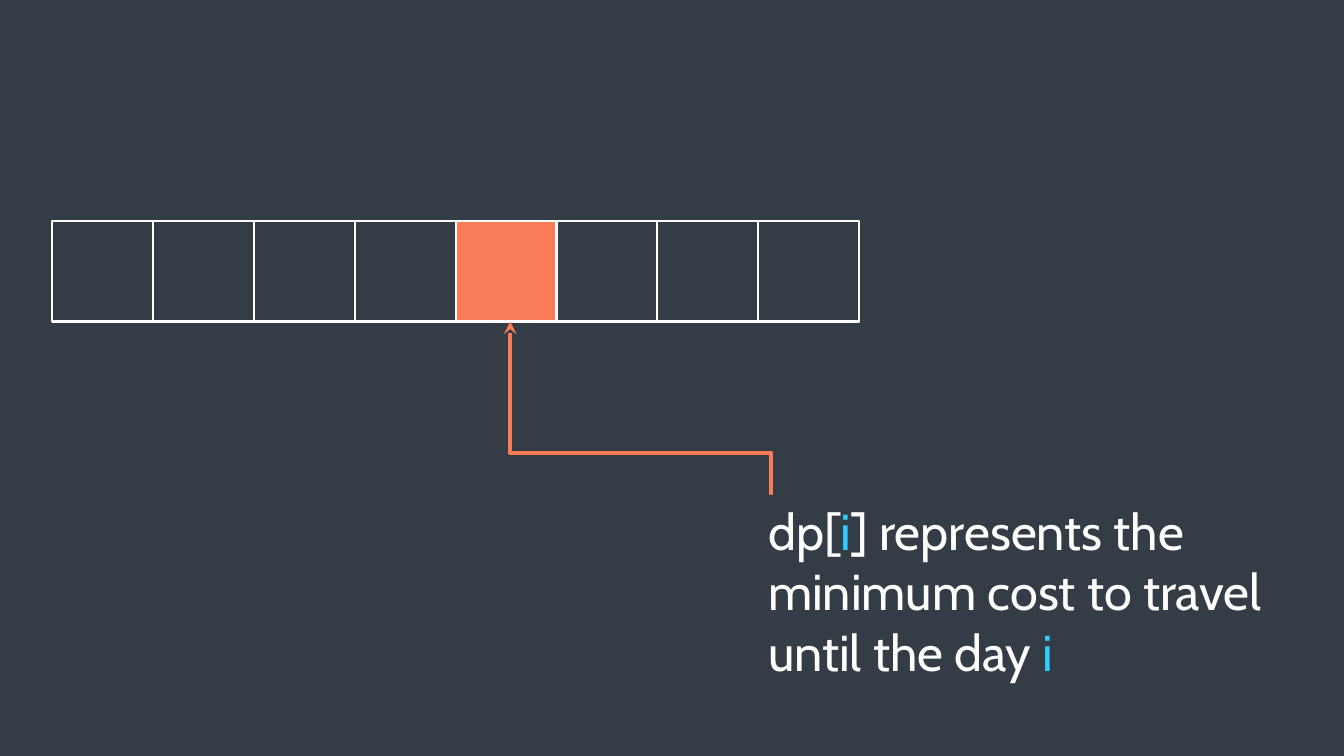
from lxml.etree import SubElement
from pptx import Presentation
from pptx.dml.color import RGBColor
from pptx.enum.shapes import MSO_CONNECTOR, MSO_SHAPE
from pptx.enum.text import MSO_ANCHOR, MSO_AUTO_SIZE, PP_ALIGN
from pptx.oxml.ns import qn
from pptx.util import Inches, Pt

COLORS = {"ground": "343D46", "accent": "F97B57", "white": "FFFFFF", "index": "33CCFF"}
CELL_COUNT = 8
CURRENT_DAY = 4
CELL_SIZE = 1


def color(name):
    return RGBColor.from_string(COLORS[name])


def add_box(slide, left, top, width, height, fill):
    sp = slide.shapes.add_shape(MSO_SHAPE.RECTANGLE, Inches(left), Inches(top),
                                Inches(width), Inches(height))
    sp.shadow.inherit = False
    sp.fill.solid()
    sp.fill.fore_color.rgb = color(fill)
    return sp


def add_dp_array(slide, left, top):
    for day in range(CELL_COUNT):
        fill = "accent" if day == CURRENT_DAY else "ground"
        cell = add_box(slide, left + day * CELL_SIZE, top, CELL_SIZE, CELL_SIZE, fill)
        cell.line.color.rgb = color("white")
        cell.line.width = Pt(1.5)


def add_pointer(slide, start, end):
    """Elbow arrow that leaves and arrives vertically, up and to the left."""
    (x1, y1), (x2, y2) = start, end
    mid_x, mid_y = (x1 + x2) / 2, (y1 + y2) / 2
    # A quarter turn swaps the extents around the same centre.
    half_w, half_h = (y1 - y2) / 2, (x1 - x2) / 2
    arrow = slide.shapes.add_connector(
        MSO_CONNECTOR.ELBOW, Inches(mid_x - half_w), Inches(mid_y + half_h),
        Inches(mid_x + half_w), Inches(mid_y - half_h))
    arrow.line.color.rgb = color("accent")
    arrow.line.width = Pt(3)
    props = arrow._element.spPr
    props.find(qn("a:xfrm")).set("rot", str(270 * 60000))
    SubElement(props.find(qn("a:ln")), qn("a:tailEnd"), type="stealth")
    SubElement(props, qn("a:effectLst"))


def add_definition(slide, left, top, width, height):
    sp = add_box(slide, left, top, width, height, "ground")
    sp.line.fill.background()
    tf = sp.text_frame
    frame_format = {"word_wrap": True, "vertical_anchor": MSO_ANCHOR.TOP,
                    "auto_size": MSO_AUTO_SIZE.SHAPE_TO_FIT_TEXT}
    for name, value in frame_format.items():
        setattr(tf, name, value)
    p = tf.paragraphs[0]
    p.alignment = PP_ALIGN.LEFT
    for text, shade in (("dp[", "white"), ("i", "index"),
                        ("] represents the minimum cost to travel until the day ", "white"),
                        ("i", "index")):
        r = p.add_run()
        r.text = text
        for name, value in {"name": "Cabin", "size": Pt(36)}.items():
            setattr(r.font, name, value)
        r.font.color.rgb = color(shade)


def build_slide(prs):
    slide = prs.slides.add_slide(prs.slide_layouts[6])
    slide.background.fill.solid()
    slide.background.fill.fore_color.rgb = color("ground")
    add_dp_array(slide, 0.52, 2.19)
    add_pointer(slide, (7.65, 5.8), (5.06, 3.19))
    add_definition(slide, 7.52, 4.91, 5.37, 1.92)


def main():
    prs = Presentation()
    prs.slide_width, prs.slide_height = Inches(13.33), Inches(7.5)
    build_slide(prs)
    prs.save("out.pptx")


if __name__ == "__main__":
    main()
